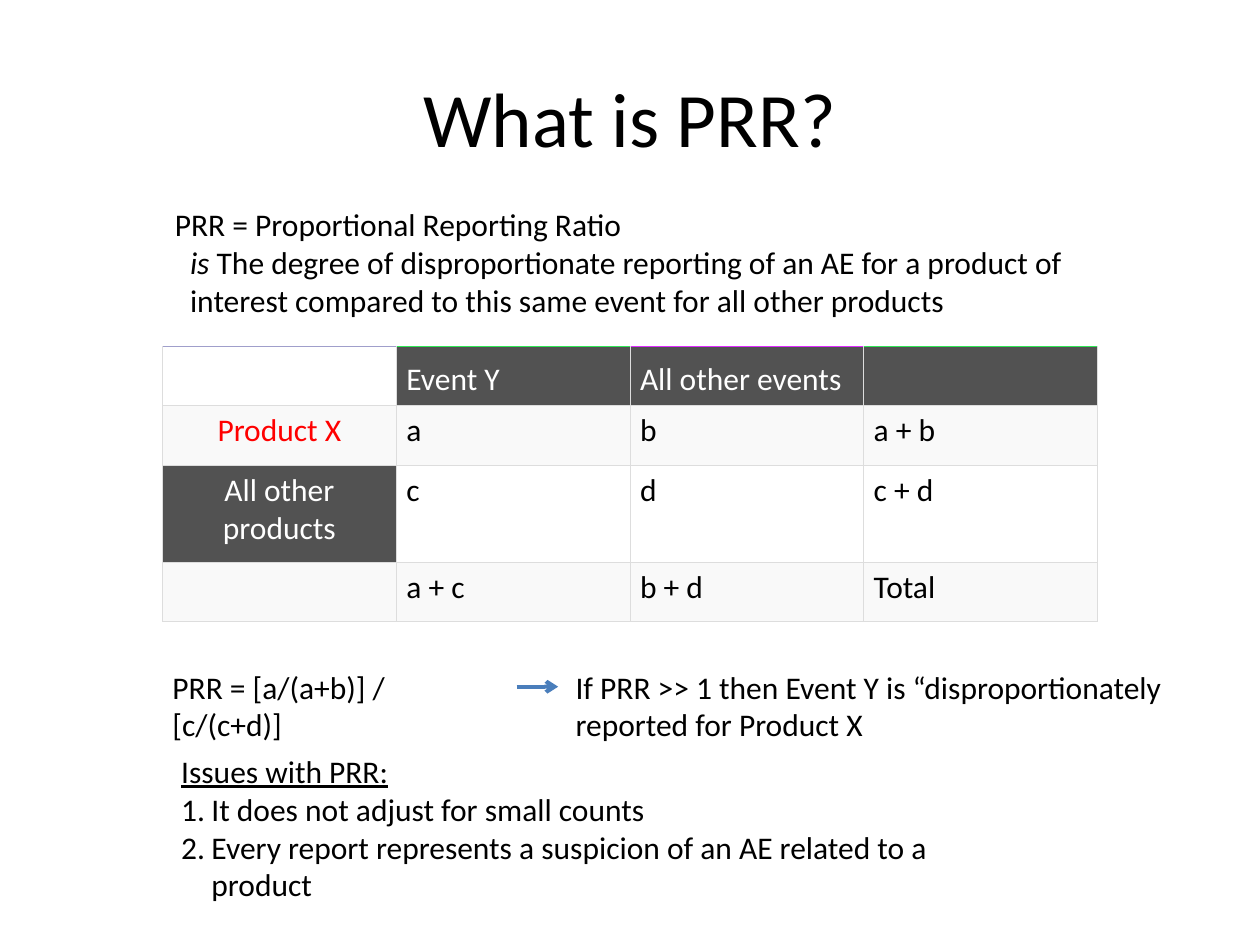
from dataclasses import dataclass

from lxml import etree
from pptx import Presentation
from pptx.dml.color import RGBColor
from pptx.enum.shapes import MSO_CONNECTOR
from pptx.enum.text import MSO_ANCHOR, PP_ALIGN
from pptx.oxml.ns import qn
from pptx.util import Inches, Pt

LEFT, CENTER = PP_ALIGN.LEFT, PP_ALIGN.CENTER
TOP, MIDDLE, BOTTOM = MSO_ANCHOR.TOP, MSO_ANCHOR.MIDDLE, MSO_ANCHOR.BOTTOM
STRAIGHT = MSO_CONNECTOR.STRAIGHT


@dataclass(frozen=True)
class Theme:
    font: str = "Calibri"
    title_size: float = 44
    body_size: float = 18
    ink: str = "000000"
    paper: str = "FFFFFF"
    dark: str = "525252"
    stripe: str = "F9F9F9"
    accent: str = "FF0000"
    grid: str = "DDDDDD"
    arrow: str = "4A7EBB"
    grid_width: float = 0.34
    arrow_width: float = 2.25


THEME = Theme()
WIDTH, HEIGHT = 10, 7.5

TITLE = "What is PRR?"
TITLE_BOX = (0.5, 0.3, 9, 1.25)

PLAIN, ITALIC, UNDERLINED = "plain", "italic", "underlined"
FLUSH, INDENTED, NUMBERED = "flush", "indented", "numbered"
INDENT, NUMBER_INDENT = 0.12, 0.24

TEXTS = [
    {"box": (1.29, 1.58, 7.26, 1), "wrap": False, "lines": [
        (FLUSH, [("PRR = Proportional Reporting Ratio", PLAIN)]),
        (INDENTED, [("is", ITALIC),
                    (" The degree of disproportionate reporting of an AE for a product of", PLAIN)]),
        (INDENTED, [("interest compared to this same event for all other products", PLAIN)]),
    ]},
    {"box": (1.27, 5.25, 2.81, 0.4), "wrap": False, "lines": [
        (FLUSH, [("PRR = [a/(a+b)] / [c/(c+d)]", PLAIN)]),
    ]},
    {"box": (4.47, 5.25, 4.94, 0.7), "wrap": False, "lines": [
        (FLUSH, [("If PRR >> 1 then Event Y is “disproportionately", PLAIN)]),
        (FLUSH, [("reported for Product X", PLAIN)]),
    ]},
    {"box": (1.34, 5.92, 6.96, 1), "wrap": True, "lines": [
        (FLUSH, [("Issues with PRR:", UNDERLINED)]),
        (NUMBERED, [("It does not adjust for small counts", PLAIN)]),
        (NUMBERED, [("Every report represents a suspicion of an AE related to a product", PLAIN)]),
    ]},
]

COUNTS = [
    ["", "Event Y", "All other events", ""],
    ["Product X", "a", "b", "a + b"],
    ["All other products", "c", "d", "c + d"],
    ["", "a + c", "b + d", "Total"],
]
COUNTS_LEFT, COUNTS_TOP, COUNTS_WIDTH = 1.29, 2.75, 7.42
ROW_HEIGHTS = [0.47, 0.47, 0.77, 0.47]
HEADER_TOPS = ["A09FCB", "30E655", "E02BFF", "30E555"]
DARK_CELLS = {(0, 1), (0, 2), (0, 3), (2, 0)}
ACCENT_CELLS = {(1, 0)}

ARROW_START, ARROW_END, ARROW_Y = 4.1, 4.43, 5.45


def rgb(value):
    return RGBColor.from_string(value)


def add_run(paragraph, text, color=THEME.ink, size=THEME.body_size, style=PLAIN):
    run = paragraph.add_run()
    run.text = text
    font = run.font
    font.name, font.size = THEME.font, Pt(size)
    font.color.rgb = rgb(color)
    font.italic = style == ITALIC
    font.underline = style == UNDERLINED


def set_indent(paragraph, kind):
    if kind == FLUSH:
        return
    props = paragraph._p.get_or_add_pPr()
    if kind == INDENTED:
        props.set("marL", str(Inches(INDENT)))
        return
    props.set("marL", str(Inches(NUMBER_INDENT)))
    props.set("indent", str(-Inches(NUMBER_INDENT)))
    color = etree.SubElement(props, qn("a:buClr"))
    etree.SubElement(color, qn("a:srgbClr"), val=THEME.ink)
    etree.SubElement(props, qn("a:buAutoNum"), type="arabicPeriod")


def add_title(slide):
    title = slide.shapes.title
    title.left, title.top, title.width, title.height = map(Inches, TITLE_BOX)
    title.text_frame.vertical_anchor = MIDDLE
    paragraph = title.text_frame.paragraphs[0]
    paragraph.alignment = CENTER
    add_run(paragraph, TITLE, size=THEME.title_size)


def add_text(slide, box, wrap, lines):
    frame = slide.shapes.add_textbox(*map(Inches, box)).text_frame
    frame.word_wrap = wrap
    for index, (kind, runs) in enumerate(lines):
        paragraph = frame.add_paragraph() if index else frame.paragraphs[0]
        set_indent(paragraph, kind)
        for text, style in runs:
            add_run(paragraph, text, style=style)


def set_borders(cell, top):
    props = cell._tc.get_or_add_tcPr()
    sides = {"lnL": THEME.grid, "lnR": THEME.grid, "lnT": top, "lnB": THEME.grid}
    for side, color in sides.items():
        border = etree.SubElement(props, qn("a:" + side), w=str(Pt(THEME.grid_width)))
        fill = etree.SubElement(border, qn("a:solidFill"))
        etree.SubElement(fill, qn("a:srgbClr"), val=color)


def format_cell(cell, row, column):
    dark = (row, column) in DARK_CELLS
    set_borders(cell, THEME.grid if row else HEADER_TOPS[column])
    cell.fill.solid()
    cell.fill.fore_color.rgb = rgb(THEME.dark if dark else THEME.stripe if row % 2 else THEME.paper)
    cell.margin_left = cell.margin_right = Inches(0.08)
    cell.vertical_anchor = TOP if row else BOTTOM
    paragraph = cell.text_frame.paragraphs[0]
    paragraph.alignment = LEFT if column else CENTER
    text = COUNTS[row][column]
    if text:
        accent = (row, column) in ACCENT_CELLS
        add_run(paragraph, text, THEME.accent if accent else THEME.paper if dark else THEME.ink)


def add_counts(slide):
    columns = len(COUNTS[0])
    table = slide.shapes.add_table(
        len(COUNTS), columns, Inches(COUNTS_LEFT), Inches(COUNTS_TOP),
        Inches(COUNTS_WIDTH), Inches(sum(ROW_HEIGHTS))).table
    table.first_row = table.horz_banding = False
    for column in table.columns:
        column.width = Inches(COUNTS_WIDTH / columns)
    for row, height in enumerate(ROW_HEIGHTS):
        table.rows[row].height = Inches(height)
        for column in range(columns):
            format_cell(table.cell(row, column), row, column)


def add_arrow(slide):
    arrow = slide.shapes.add_connector(
        STRAIGHT, *map(Inches, (ARROW_START, ARROW_Y, ARROW_END, ARROW_Y)))
    arrow.line.color.rgb = rgb(THEME.arrow)
    arrow.line.width = Pt(THEME.arrow_width)
    etree.SubElement(arrow.line._get_or_add_ln(), qn("a:tailEnd"), type="arrow")
    etree.SubElement(arrow._element.spPr, qn("a:effectLst"))


def main():
    deck = Presentation()
    deck.slide_width, deck.slide_height = Inches(WIDTH), Inches(HEIGHT)
    slide = deck.slides.add_slide(deck.slide_layouts[5])
    add_title(slide)
    add_counts(slide)
    for text in TEXTS:
        add_text(slide, **text)
    add_arrow(slide)
    deck.save("out.pptx")


if __name__ == "__main__":
    main()
